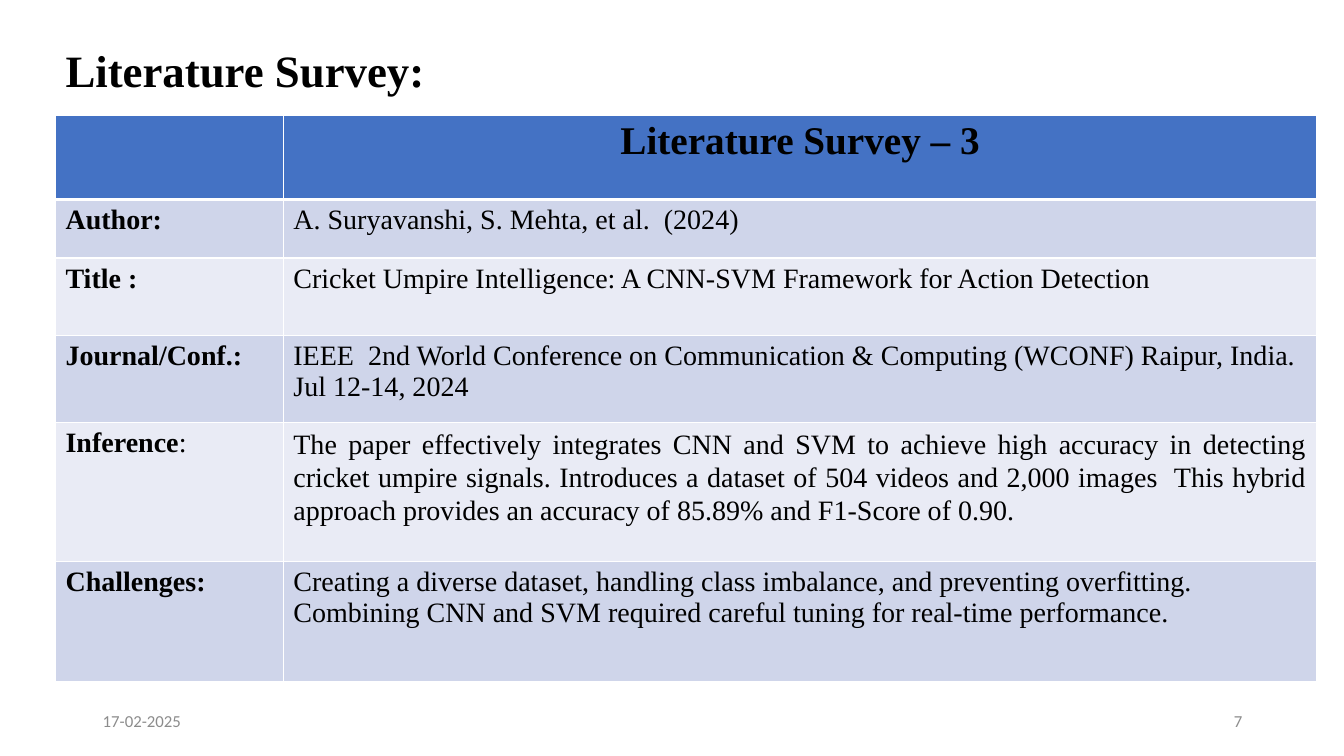
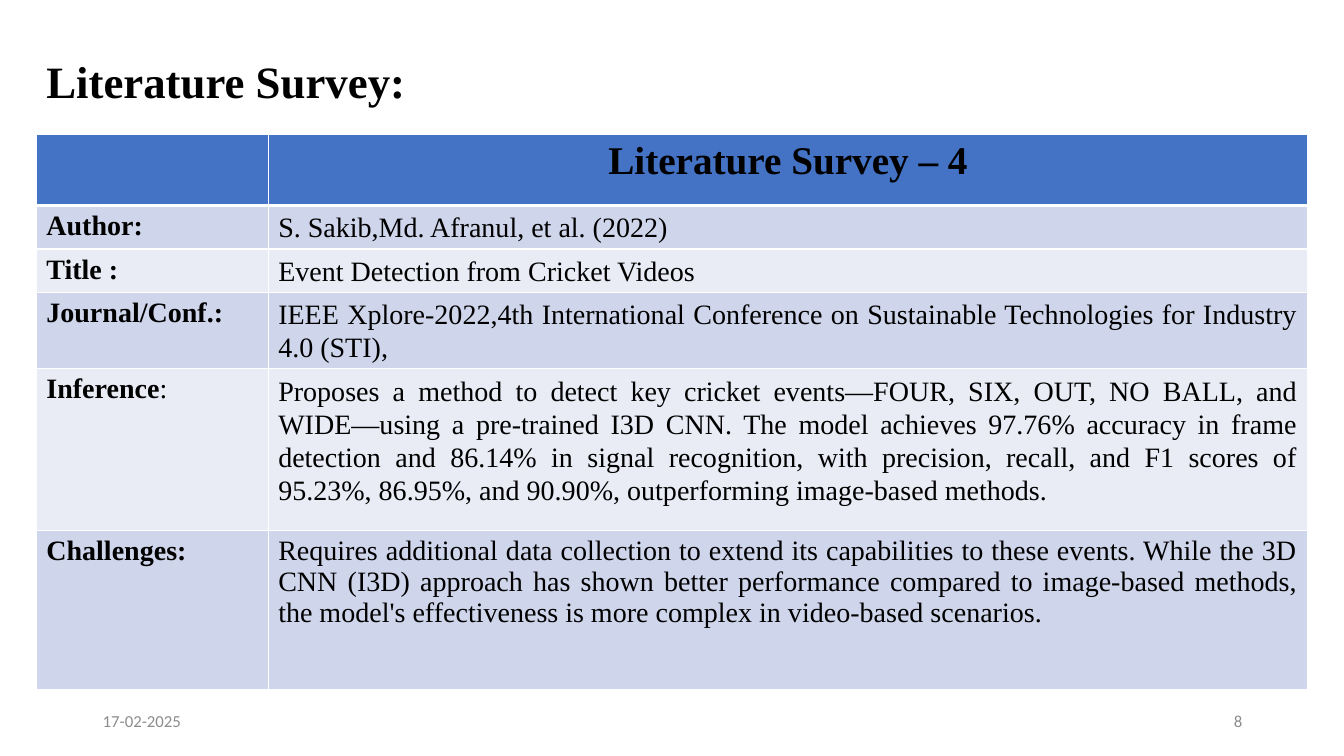
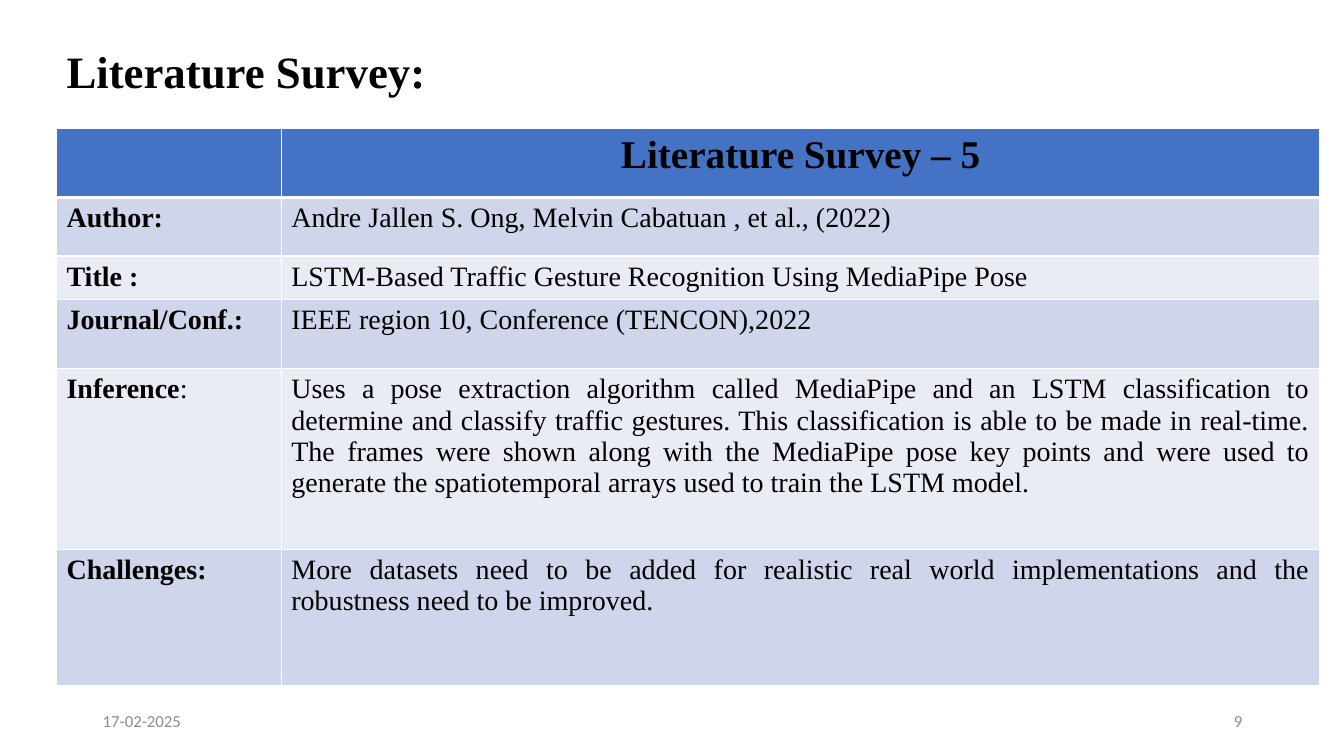
import pptx
import pptx.dml.color
import pptx.enum.text
import pptx.oxml
import pptx.oxml.ns
import pptx.util

Inches = pptx.util.Inches
Pt = pptx.util.Pt
ALIGN = pptx.enum.text.PP_ALIGN
ANCHOR = pptx.enum.text.MSO_ANCHOR

SERIF, SANS = "Times New Roman", "Calibri"
BLACK, WHITE, GREY = "000000", "FFFFFF", "8C8C8C"
HEADER_FILL, BAND_FILLS = "4472C4", ("CFD5EA", "E9EBF5")
THIN, THICK = 1, 3
FOOTER_DATE = "17-02-2025"
TITLE = "Literature Survey:"
LABELS = ("Author:", "Title :", "Journal/Conf.:", "Inference:", "Challenges:")

LEFT = {"alignment": ALIGN.LEFT}
CENTER = {"alignment": ALIGN.CENTER}
RIGHT = {"alignment": ALIGN.RIGHT}
JUSTIFIED = {"alignment": ALIGN.JUSTIFY}
SPACED = JUSTIFIED | {"space_after": Pt(8)}
LOOSE = JUSTIFIED | {"line_spacing": 1.07}
LOOSE_SPACED = SPACED | LOOSE

SURVEYS = [
    {
        "number": 3, "page": 7,
        "title_box": (0.55, 0, 11.5, 1.45), "title_format": {"line_spacing": 0.9},
        "origin": (0.55, 1.14), "columns": (2.26, 10.25),
        "rows": (0.84, 0.58, 0.77, 0.86, 1.38, 1.19),
        "entries": [
            ("A. Suryavanshi, S. Mehta, et al.  (2024)", LEFT),
            ("Cricket Umpire Intelligence: A CNN-SVM Framework for Action Detection", LEFT),
            ("IEEE  2nd World Conference on Communication & Computing (WCONF) Raipur, India. "
             "Jul 12-14, 2024", LEFT),
            ("The paper effectively integrates CNN and SVM to achieve high accuracy in detecting "
             "cricket umpire signals. Introduces a dataset of 504 videos and 2,000 images  This "
             "hybrid approach provides an accuracy of 85.89% and F1-Score of 0.90.", LOOSE),
            ("Creating a diverse dataset, handling class imbalance, and preventing overfitting. "
             "Combining CNN and SVM required careful tuning for real-time performance.", LEFT),
        ],
    },
    {
        "number": 4, "page": 8,
        "title_box": (0.36, 0.48, 6.67, 0.64), "title_format": {"line_spacing": 1.0},
        "origin": (0.36, 1.33), "columns": (2.3, 10.31),
        "rows": (0.71, 0.42, 0.42, 0.76, 1.6, 1.58),
        "entries": [
            ("S. Sakib,Md. Afranul, et al. (2022)", LOOSE_SPACED),
            ("Event Detection from Cricket Videos", LOOSE_SPACED),
            ("IEEE Xplore-2022,4th International Conference on Sustainable Technologies for "
             "Industry 4.0 (STI),", LOOSE),
            ("Proposes a method to detect key cricket events—FOUR, SIX, OUT, NO BALL, and "
             "WIDE—using a pre-trained I3D CNN. The model achieves 97.76% accuracy in frame "
             "detection and 86.14% in signal recognition, with precision, recall, and F1 scores "
             "of 95.23%, 86.95%, and 90.90%, outperforming image-based methods.", LOOSE_SPACED),
            ("Requires additional data collection to extend its capabilities to these events. "
             "While the 3D CNN (I3D) approach has shown better performance compared to "
             "image-based methods, the model's effectiveness is more complex in video-based "
             "scenarios.", SPACED),
        ],
    },
    {
        "number": 5, "page": 9,
        "title_box": (0.56, 0.01, 11.5, 1.45), "title_format": {"line_spacing": 0.9},
        "origin": (0.56, 1.27), "columns": (2.23, 10.3),
        "rows": (0.69, 0.58, 0.43, 0.69, 1.79, 1.35),
        "entries": [
            ("Andre Jallen S. Ong, Melvin Cabatuan , et al., (2022)", SPACED),
            ("LSTM-Based Traffic Gesture Recognition Using MediaPipe Pose", SPACED),
            ("IEEE region 10, Conference (TENCON),2022", SPACED),
            ("Uses a pose extraction algorithm called MediaPipe and an LSTM classification to "
             "determine and classify traffic gestures. This classification is able to be made in "
             "real-time. The frames were shown along with the MediaPipe pose key points and were "
             "used to generate the spatiotemporal arrays used to train the LSTM model.", SPACED),
            ("More datasets need to be added for realistic real world implementations and the "
             "robustness need to be improved.", SPACED),
        ],
    },
]


def color(value):
    return pptx.dml.color.RGBColor.from_string(value)


def set_format(target, values):
    for name, value in values.items():
        setattr(target, name, value)


def write(frame, spans, size, paragraph_format, font=SERIF, ink=BLACK):
    """Fill the first paragraph with (text, bold) spans."""
    para = frame.paragraphs[0]
    set_format(para, paragraph_format)
    for text, bold in spans:
        span = para.add_run()
        span.text = text
        set_format(span.font, {"name": font, "size": Pt(size), "bold": bold})
        span.font.color.rgb = color(ink)


def add_title(page, box, paragraph_format):
    title = page.shapes.title
    set_format(title, dict(zip(("left", "top", "width", "height"), map(Inches, box))))
    frame = title.text_frame
    set_format(frame, {"vertical_anchor": ANCHOR.MIDDLE, "word_wrap": True,
                       "auto_size": pptx.enum.text.MSO_AUTO_SIZE.NONE})
    write(frame, [(TITLE, True)], 32, LEFT | paragraph_format)


def style_cell(cell, fill, top, bottom):
    """Give a cell white borders and a solid fill."""
    properties = cell._tc.get_or_add_tcPr()
    for side, width in (("L", THIN), ("R", THIN), ("T", top), ("B", bottom)):
        properties.append(pptx.oxml.parse_xml(
            f'<a:ln{side} {pptx.oxml.ns.nsdecls("a")} w="{Pt(width)}">'
            f'<a:solidFill><a:srgbClr val="{WHITE}"/></a:solidFill></a:ln{side}>'))
    cell.fill.solid()
    cell.fill.fore_color.rgb = color(fill)


def label_spans(label):
    if label == "Inference:":
        return [(label[:-1], True), (":", False)]
    return [(label, True)]


def add_survey_table(page, survey):
    columns, rows = survey["columns"], survey["rows"]
    left, top = survey["origin"]
    table = page.shapes.add_table(len(rows), len(columns), Inches(left), Inches(top),
                                  Inches(sum(columns)), Inches(sum(rows))).table
    set_format(table, {"first_row": False, "horz_banding": False})
    for column, width in zip(table.columns, columns):
        column.width = Inches(width)
    for index, (row, height) in enumerate(zip(table.rows, rows)):
        row.height = Inches(height)
        fill = BAND_FILLS[(index - 1) % 2] if index else HEADER_FILL
        for cell in row.cells:
            style_cell(cell, fill, THICK if index == 1 else THIN, THIN if index else THICK)

    heading = f"Literature Survey – {survey['number']}"
    write(table.cell(0, 1).text_frame, [(heading, True)], 28, CENTER)
    for index, (label, (text, entry_format)) in enumerate(zip(LABELS, survey["entries"]), 1):
        write(table.cell(index, 0).text_frame, label_spans(label), 20, LEFT)
        write(table.cell(index, 1).text_frame, [(text, False)], 20, entry_format)


def add_footer(page, number):
    for left, text, paragraph_format in ((0.92, FOOTER_DATE, LEFT), (9.42, str(number), RIGHT)):
        box = page.shapes.add_textbox(Inches(left), Inches(6.95), Inches(3), Inches(0.4))
        set_format(box.text_frame, {"word_wrap": True, "vertical_anchor": ANCHOR.MIDDLE})
        write(box.text_frame, [(text, False)], 12, paragraph_format, SANS, GREY)


def main():
    deck = pptx.Presentation()
    set_format(deck, {"slide_width": Inches(13.33), "slide_height": Inches(7.5)})
    title_only = deck.slide_layouts[5]
    for survey in SURVEYS:
        page = deck.slides.add_slide(title_only)
        add_title(page, survey["title_box"], survey["title_format"])
        add_survey_table(page, survey)
        add_footer(page, survey["page"])
    deck.save("out.pptx")


if __name__ == "__main__":
    main()
